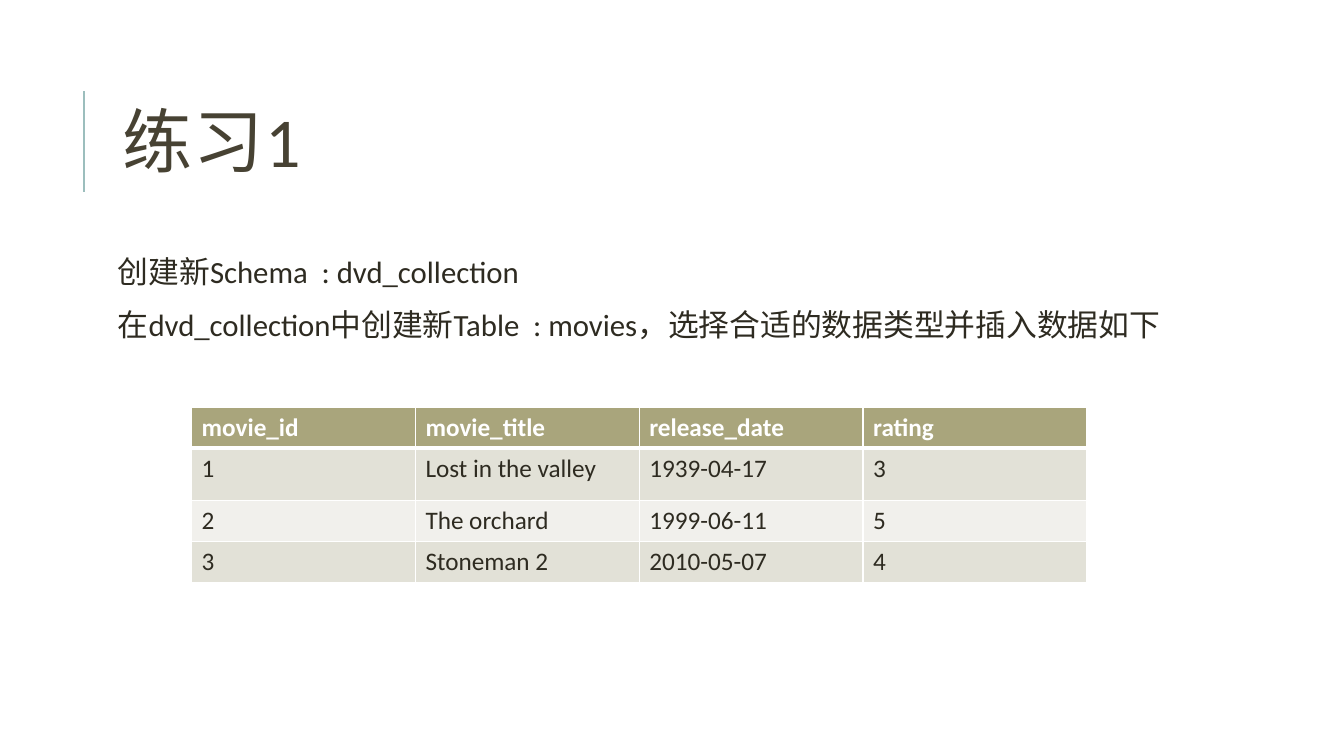
"""Build an exercise slide with a title, instructions and a movie table."""
import lxml.etree
import pptx
import pptx.dml.color
import pptx.enum.shapes
import pptx.enum.text
import pptx.oxml
import pptx.oxml.ns
import pptx.util

Cm = pptx.util.Cm
Pt = pptx.util.Pt
FONT = "Calibri"
COLORS = {
    "accent": "9CBEBD",
    "title": "474233",
    "text": "2E2B21",
    "white": "FFFFFF",
    "header": "A9A57C",
    "odd_row": "E2E1D7",
    "even_row": "F1F0EC",
}
INSTRUCTIONS = [
    "创建新Schema  : dvd_collection",
    "在dvd_collection中创建新Table  : movies，选择合适的数据类型并插入数据如下",
]
MOVIES = [
    ["movie_id", "movie_title", "release_date", "rating"],
    ["1", "Lost in the valley", "1939-04-17", "3"],
    ["2", "The orchard", "1999-06-11", "5"],
    ["3", "Stoneman 2", "2010-05-07", "4"],
]
ROW_HEIGHTS = [1.03, 1.32, 1.03, 1.03]


def color(name):
    """Return the named colour as an RGB value."""
    return pptx.dml.color.RGBColor.from_string(COLORS[name])


def add_run(paragraph, text, size, color_name, bold=False):
    """Add one formatted run to a paragraph and return it."""
    run = paragraph.add_run()
    run.text = text
    run.font.name = FONT
    run.font.size = Pt(size)
    run.font.bold = bold
    run.font.color.rgb = color(color_name)
    return run


def add_title(slide, left, top, width, height):
    """Place the title with the accent line on its left."""
    line_left = left - 0.73
    line = slide.shapes.add_connector(
        pptx.enum.shapes.MSO_CONNECTOR.STRAIGHT,
        Cm(line_left), Cm(top + 3.2), Cm(line_left), Cm(top + 0.66))
    line.line.color.rgb = color("accent")
    line.line.width = Pt(1.5)
    lxml.etree.SubElement(line._element.spPr, pptx.oxml.ns.qn("a:effectLst"))

    shape = slide.shapes.add_textbox(Cm(left), Cm(top), Cm(width), Cm(height))
    frame = shape.text_frame
    frame.word_wrap = True
    frame.vertical_anchor = pptx.enum.text.MSO_ANCHOR.MIDDLE
    paragraph = frame.paragraphs[0]
    paragraph.line_spacing = 0.8
    run = add_run(paragraph, "练习1", 50, "title")
    run._r.get_or_add_rPr().set("spc", "100")


def add_instructions(slide, left, top, width, height):
    """Place the instruction paragraphs."""
    shape = slide.shapes.add_textbox(Cm(left), Cm(top), Cm(width), Cm(height))
    frame = shape.text_frame
    frame.word_wrap = True
    frame.margin_left = frame.margin_right = Cm(0.13)
    frame.margin_top = frame.margin_bottom = Cm(0.13)
    for index, text in enumerate(INSTRUCTIONS):
        paragraph = frame.add_paragraph() if index else frame.paragraphs[0]
        paragraph.line_spacing = 0.9
        paragraph.space_before = Pt(12)
        paragraph.space_after = Pt(2)
        add_run(paragraph, text, 22, "text")


def set_borders(cell, widths):
    """Draw white borders with the given widths in points by side."""
    properties = cell._tc.get_or_add_tcPr()
    for side, width in widths.items():
        properties.append(pptx.oxml.parse_xml(
            f'<a:ln{side} {pptx.oxml.ns.nsdecls("a")} w="{Pt(width)}"><a:solidFill>'
            f'<a:srgbClr val="{COLORS["white"]}"/></a:solidFill></a:ln{side}>'))


def add_movie_table(slide, left, top, width, height):
    """Place the movie table with a header and alternating rows."""
    columns = len(MOVIES[0])
    table = slide.shapes.add_table(
        len(MOVIES), columns, Cm(left), Cm(top), Cm(width), Cm(height)).table
    for column in table.columns:
        column.width = Cm(width / columns)
    for row_index, (values, row_height) in enumerate(zip(MOVIES, ROW_HEIGHTS)):
        table.rows[row_index].height = Cm(row_height)
        header = row_index == 0
        fill = "header" if header else "odd_row" if row_index % 2 else "even_row"
        widths = {"L": 1, "R": 1, "T": 3 if row_index == 1 else 1, "B": 3 if header else 1}
        for column_index, value in enumerate(values):
            cell = table.cell(row_index, column_index)
            set_borders(cell, widths)
            cell.fill.solid()
            cell.fill.fore_color.rgb = color(fill)
            add_run(cell.text_frame.paragraphs[0], value, 18,
                    "white" if header else "text", header)


def main():
    """Create the presentation and save it."""
    presentation = pptx.Presentation()
    presentation.slide_width = Cm(33.87)
    presentation.slide_height = Cm(19.05)
    slide = presentation.slides.add_slide(presentation.slide_layouts[6])
    add_title(slide, 2.84, 1.63, 27, 4.17)
    add_instructions(slide, 2.84, 6.35, 27, 11.18)
    add_movie_table(slide, 4.83, 10.26, 22.56, sum(ROW_HEIGHTS))
    presentation.save("out.pptx")


if __name__ == "__main__":
    main()
